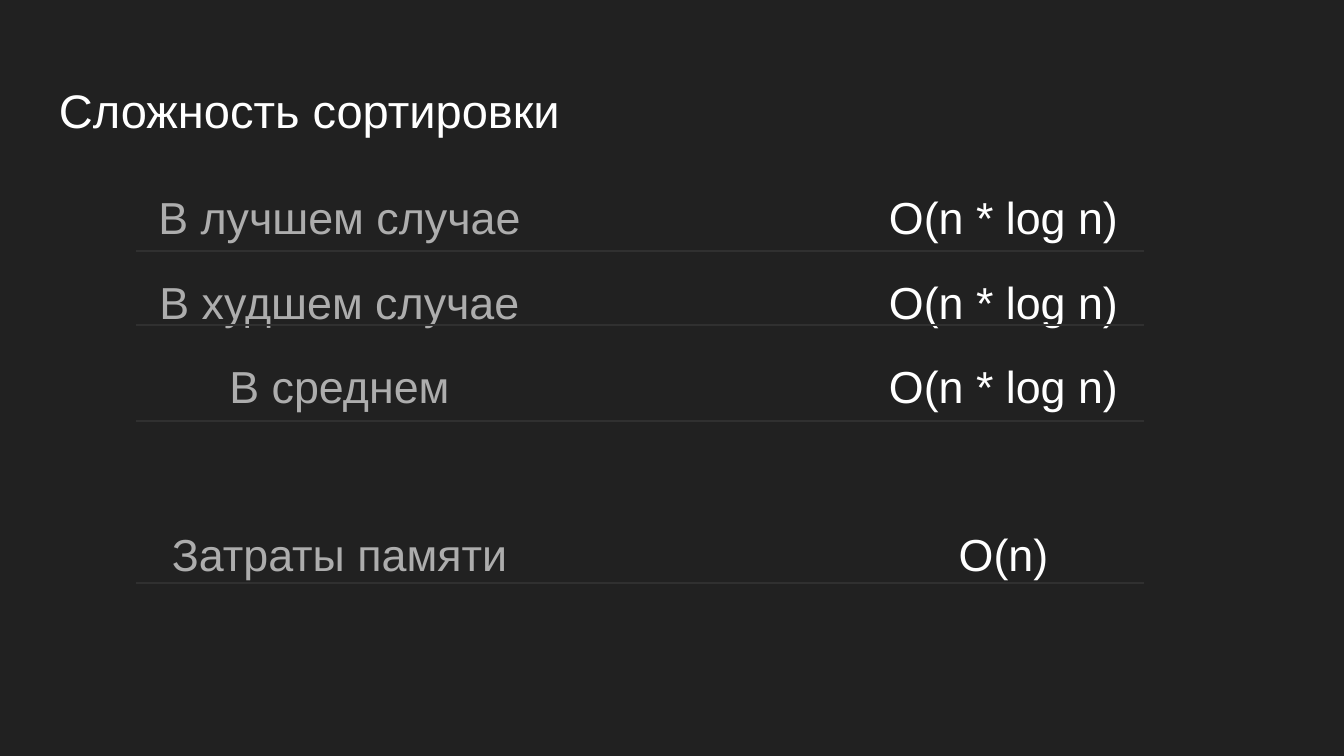
from pptx import Presentation
from pptx.dml.color import RGBColor
from pptx.enum.shapes import MSO_CONNECTOR as CONNECTOR
from pptx.enum.text import MSO_ANCHOR as ANCHOR, PP_ALIGN as ALIGN
from pptx.oxml.ns import qn
from pptx.util import Pt
from lxml.etree import SubElement

PX = 914400 / 134.4
PADDING = 13
CASES = [
    ("В лучшем случае", "O(n * log n)", 0),
    ("В худшем случае", "O(n * log n)", 12),
    ("В среднем", "O(n * log n)", 12),
    ("Затраты памяти", "O(n)", 57),
]


def px(length):
    return round(length * PX)


def color(value):
    return RGBColor.from_string(value)


def add_frame(slide, box, anchor):
    frame = slide.shapes.add_textbox(*map(px, box)).text_frame
    frame.word_wrap = True
    frame.vertical_anchor = anchor
    frame.margin_left = frame.margin_right = px(PADDING)
    frame.margin_top = frame.margin_bottom = px(PADDING)
    return frame


def add_words(paragraph, words, size, ink):
    run = paragraph.add_run()
    run.text = words
    run.font.name = "Arial"
    run.font.size = Pt(size)
    run.font.color.rgb = color(ink)


def add_heading(slide, box):
    frame = add_frame(slide, box, ANCHOR.BOTTOM)
    add_words(frame.paragraphs[0], "Сложность сортировки", 25.2, "FFFFFF")


def add_column(slide, box, entries, ink):
    frame = add_frame(slide, box, ANCHOR.TOP)
    for index, (words, gap) in enumerate(entries):
        paragraph = frame.add_paragraph() if index else frame.paragraphs[0]
        paragraph.alignment = ALIGN.CENTER
        paragraph.line_spacing = 1.15
        paragraph.space_before = Pt(gap)
        add_words(paragraph, words, 24, ink)


def add_rule(slide, left, top, width):
    rule = slide.shapes.add_connector(
        CONNECTOR.STRAIGHT, px(left), px(top), px(left + width), px(top)
    )
    rule.line.color.rgb = color("303030")
    rule.line.width = Pt(0.75)
    SubElement(rule._element.spPr, qn("a:effectLst"))


def add_complexity(slide, box):
    left, top, width, height = box
    column = 587
    cases = [(case, gap) for case, _, gap in CASES]
    costs = [(cost, gap) for _, cost, gap in CASES]
    add_column(slide, (left, top, column, height), cases, "ADADAD")
    add_column(slide, (left + width - column, top, column, height), costs, "FFFFFF")
    for offset in (82, 156, 252, 414):
        add_rule(slide, left + 90, top + offset, 1008)


def main():
    deck = Presentation()
    deck.slide_width, deck.slide_height = px(1344), px(756)
    slide = deck.slides.add_slide(deck.slide_layouts[6])
    slide.background.fill.solid()
    slide.background.fill.fore_color.rgb = color("212121")
    add_heading(slide, (46, 66, 1253, 85))
    add_complexity(slide, (46, 169, 1251, 503))
    deck.save("out.pptx")


if __name__ == "__main__":
    main()
